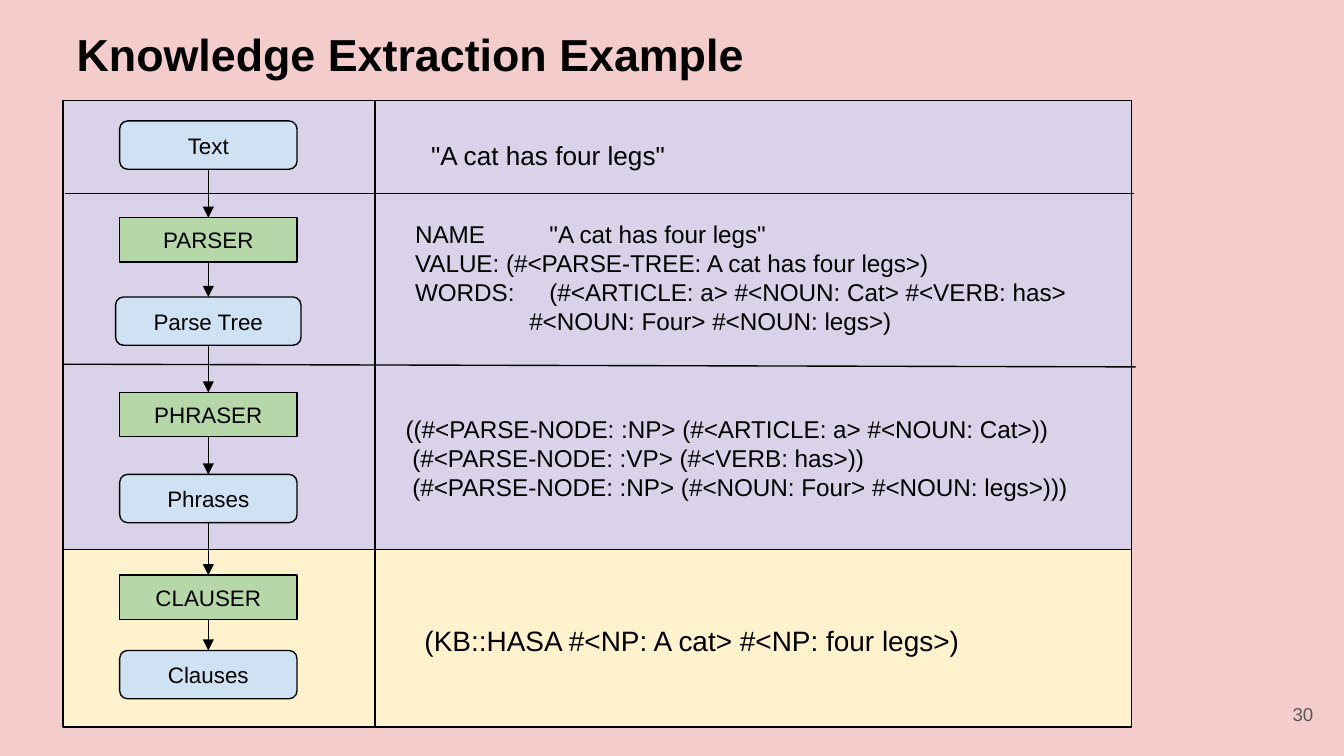
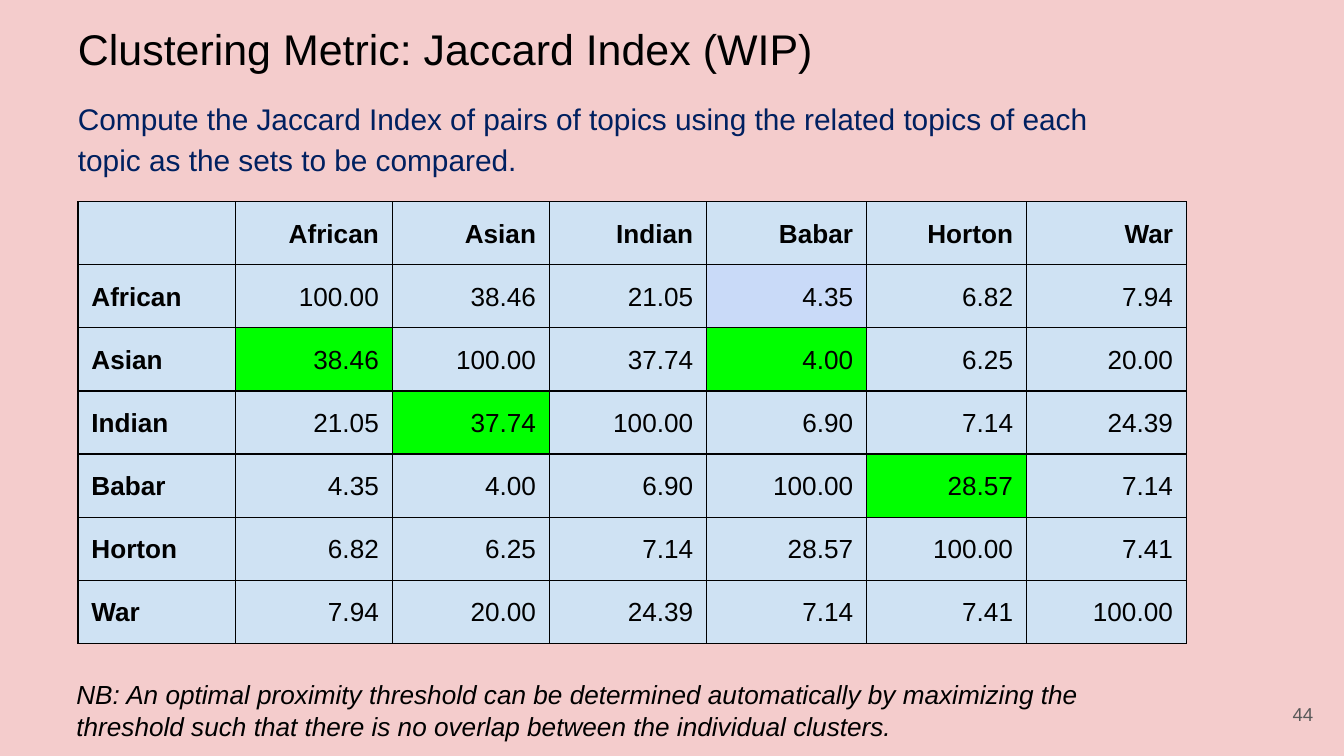
from dataclasses import dataclass
from lxml.etree import SubElement
from pptx import Presentation
from pptx.dml.color import RGBColor as RGB
from pptx.enum.shapes import MSO_CONNECTOR as CONN, MSO_SHAPE as SHAPE
from pptx.enum.text import MSO_ANCHOR as ANCHOR, MSO_AUTO_SIZE as AUTO, PP_ALIGN as ALIGN
from pptx.oxml.ns import qn
from pptx.util import Pt

PX = 9144  # EMU per px, 100 px to the inch


@dataclass(frozen=True)
class Theme:
    font: str = "Arial"
    back: str = "F4CCCC"
    ink: str = "000000"
    navy: str = "002060"
    grey: str = "595959"
    lilac: str = "D9D2E9"
    cream: str = "FFF2CC"
    blue: str = "CFE2F3"
    green: str = "B6D7A8"
    pale: str = "C9DAF8"
    lime: str = "00FF00"
    line: float = 0.75
    number: int = 10
    node: int = 12
    code: int = 13
    text: int = 14
    result: int = 15
    lead: int = 16


T = Theme()


def write(sp, lines, size, color=T.ink, bold=False, italic=False,
          align=ALIGN.LEFT, anchor=ANCHOR.TOP, spacing=1.0, before=0):
    """Each line is (text, left indent in px, tab stop in px)."""
    tf = sp.text_frame
    tf.word_wrap, tf.auto_size, tf.vertical_anchor = True, AUTO.NONE, anchor
    tf.margin_left = tf.margin_right = tf.margin_top = tf.margin_bottom = 10 * PX
    for i, (text, indent, tab) in enumerate(lines):
        p = tf.add_paragraph() if i else tf.paragraphs[0]
        p.alignment, p.line_spacing, p.space_before = align, spacing, Pt(before)
        pPr = p._p.get_or_add_pPr()
        pPr.set("marL", str(indent * PX))
        pPr.set("indent", "0")
        SubElement(pPr, qn("a:buNone"))
        if tab:
            tabs = SubElement(pPr, qn("a:tabLst"))
            SubElement(tabs, qn("a:tab"), pos=str(tab * PX), algn="l")
        r = p.add_run()
        r.text = text
        f = r.font
        f.name, f.size, f.bold, f.italic = T.font, Pt(size), bold, italic
        f.color.rgb = RGB.from_string(color)


def add_line(s, x1, y1, x2, y2):
    ln = s.shapes.add_connector(CONN.STRAIGHT, x1 * PX, y1 * PX, x2 * PX, y2 * PX)
    ln.line.color.rgb = RGB.from_string(T.ink)
    ln.line.width = Pt(T.line)
    SubElement(ln._element.spPr, qn("a:effectLst"))
    return ln


prs = Presentation()
prs.slide_width = 1000 * PX
prs.slide_height = prs.slide_width * 9 // 16
fill = prs.slide_master.background.fill
fill.solid()
fill.fore_color.rgb = RGB.from_string(T.back)

# Titles and slide numbers
slides = []
for layout, title, box, size, bold, number in [
    (5, "Knowledge Extraction Example", (47, 10, 798, 61), 24, True, "30"),
    (1, "Clustering Metric: Jaccard Index (WIP)", (48, 7, 855, 59), 23, False, "44"),
]:
    s = prs.slides.add_slide(prs.slide_layouts[layout])
    sp = s.shapes.title
    sp.left, sp.top, sp.width, sp.height = [v * PX for v in box]
    write(sp, [(title, 0, 0)], size, bold=bold)
    sp = s.shapes.add_textbox(927 * PX, 510 * PX, 60 * PX, 43 * PX)
    write(sp, [(number, 0, 0)], T.number, T.grey, align=ALIGN.RIGHT, anchor=ANCHOR.MIDDLE)
    slides.append(s)
s1, s2 = slides

# Slide 1: bands, then the steps of the pipeline
steps = [("Text", 90), ("PARSER", 162), ("Parse Tree", 221), ("PHRASER", 292),
         ("Phrases", 353), ("CLAUSER", 428), ("Clauses", 484)]
blocks = [(SHAPE.RECTANGLE, 47, 408, 795, 133, T.cream, ""),
          (SHAPE.RECTANGLE, 47, 75, 795, 334, T.lilac, "")]
for name, y in steps:
    w = 138 if name == "Parse Tree" else 132
    if name.isupper():
        kind, h, color = SHAPE.RECTANGLE, 33, T.green
    else:
        kind, h, color = SHAPE.ROUNDED_RECTANGLE, 36, T.blue
    blocks.append((kind, 155 - w // 2, y, w, h, color, name))

nodes = []
for kind, x, y, w, h, color, name in blocks:
    sp = s1.shapes.add_shape(kind, x * PX, y * PX, w * PX, h * PX)
    sp.shadow.inherit = False
    sp.fill.solid()
    sp.fill.fore_color.rgb = RGB.from_string(color)
    sp.line.color.rgb = RGB.from_string(T.ink)
    sp.line.width = Pt(T.line)
    if name:
        write(sp, [(name, 0, 0)], T.node, align=ALIGN.CENTER, anchor=ANCHOR.MIDDLE)
        nodes.append(sp)

# Dividers
for ends in [(48, 144, 844, 144), (47, 271, 845, 273), (279, 75, 279, 541)]:
    add_line(s1, *ends)

# Arrows from each step to the next
for a, b in zip(nodes, nodes[1:]):
    ln = add_line(s1, 155, 0, 155, 0)
    ln.begin_connect(a, 2)
    ln.end_connect(b, 0)
    SubElement(ln.line._get_or_add_ln(), qn("a:tailEnd"), type="triangle")

# Output of each stage
for box, size, lines in [
    ((306, 94, 514, 44), T.text, [('"A cat has four legs"', 5, 0)]),
    ((299, 153, 537, 108), T.code, [
        ('NAME\t"A cat has four legs"', 0, 72),
        ("VALUE: (#<PARSE-TREE: A cat has four legs>)", 0, 0),
        ("WORDS:\t(#<ARTICLE: a> #<NOUN: Cat> #<VERB: has>", 0, 84),
        ("#<NOUN: Four> #<NOUN: legs>)", 85, 0)]),
    ((292, 298, 537, 86), T.code, [
        ("((#<PARSE-NODE: :NP> (#<ARTICLE: a> #<NOUN: Cat>))", 0, 0),
        ("(#<PARSE-NODE: :VP> (#<VERB: has>))", 5, 0),
        ("(#<PARSE-NODE: :NP> (#<NOUN: Four> #<NOUN: legs>)))", 5, 0)]),
    ((306, 454, 448, 45), T.result, [("(KB::HASA #<NP: A cat> #<NP: four legs>)", 0, 0)]),
]:
    write(s1.shapes.add_textbox(*[v * PX for v in box]), lines, size)

# Slide 2: lead text
sp = s2.placeholders[1]
sp.left, sp.top, sp.width, sp.height = [v * PX for v in (48, 61, 790, 78)]
write(sp, [("Compute the Jaccard Index of pairs of topics using the related topics "
            "of each topic as the sets to be compared.", 0, 0)],
      T.lead, T.navy, spacing=1.15, before=5)

# Similarity table
topics = ["African", "Asian", "Indian", "Babar", "Horton", "War"]
scores = [
    ["100.00", "38.46", "21.05", "4.35", "6.82", "7.94"],
    ["38.46", "100.00", "37.74", "4.00", "6.25", "20.00"],
    ["21.05", "37.74", "100.00", "6.90", "7.14", "24.39"],
    ["4.35", "4.00", "6.90", "100.00", "28.57", "7.14"],
    ["6.82", "6.25", "7.14", "28.57", "100.00", "7.41"],
    ["7.94", "20.00", "24.39", "7.14", "7.41", "100.00"],
]
marked = {(1, 4): T.pale, (2, 1): T.lime, (2, 4): T.lime, (3, 2): T.lime, (4, 5): T.lime}
rows = [[""] + topics] + [[t] + row for t, row in zip(topics, scores)]
widths = [117] * 4 + [119] * 3
tbl = s2.shapes.add_table(len(rows), len(widths), 58 * PX, 150 * PX,
                          sum(widths) * PX, 47 * len(rows) * PX).table
for col, w in zip(tbl.columns, widths):
    col.width = w * PX
for i, row in enumerate(rows):
    tbl.rows[i].height = 47 * PX
    for j, text in enumerate(row):
        cell = tbl.cell(i, j)
        cell.margin_left = cell.margin_right = cell.margin_top = cell.margin_bottom = 10 * PX
        p = cell.text_frame.paragraphs[0]
        p.alignment = ALIGN.RIGHT if j else ALIGN.LEFT
        p.line_spacing = 1.15
        if text:
            r = p.add_run()
            r.text = text
            r.font.name, r.font.size, r.font.bold = T.font, Pt(T.text), i == 0 or j == 0
            r.font.color.rgb = RGB.from_string(T.ink)
        else:
            SubElement(p._p, qn("a:endParaRPr"), sz=str(T.text * 100))
        tcPr = cell._tc.get_or_add_tcPr()
        for side in ("lnL", "lnR", "lnT", "lnB"):
            edge = SubElement(tcPr, qn("a:" + side), w=str(Pt(T.line)))
            SubElement(SubElement(edge, qn("a:solidFill")), qn("a:srgbClr"), val=T.ink)
        cell.fill.solid()
        cell.fill.fore_color.rgb = RGB.from_string(marked.get((i, j), T.blue))

# Closing note
sp = s2.shapes.add_textbox(47 * PX, 495 * PX, 790 * PX, 67 * PX)
write(sp, [("NB: An optimal proximity threshold can be determined automatically by maximizing "
            "the threshold such that there is no overlap between the individual clusters.", 0, 0)],
      T.text, italic=True)

prs.save("out.pptx")
